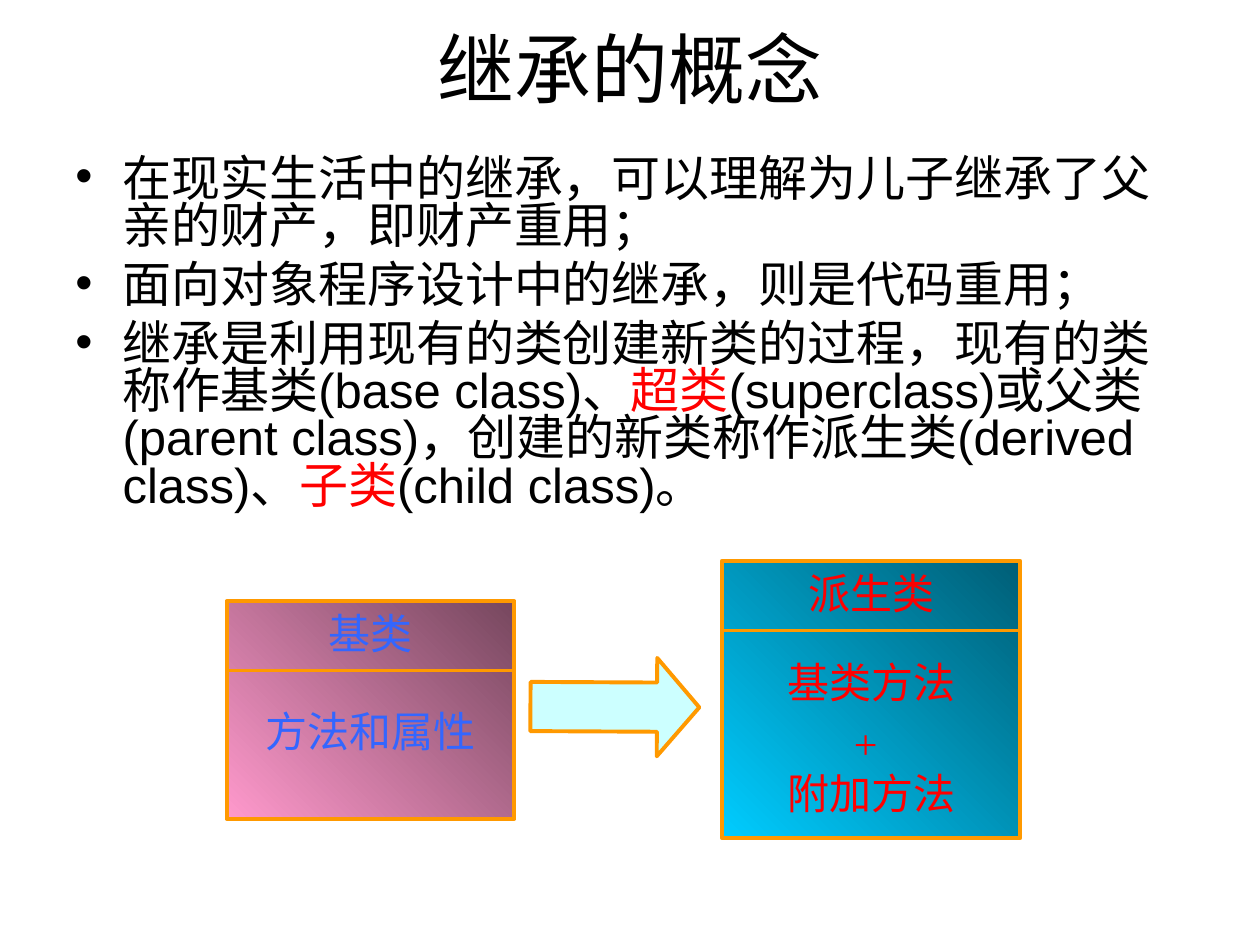
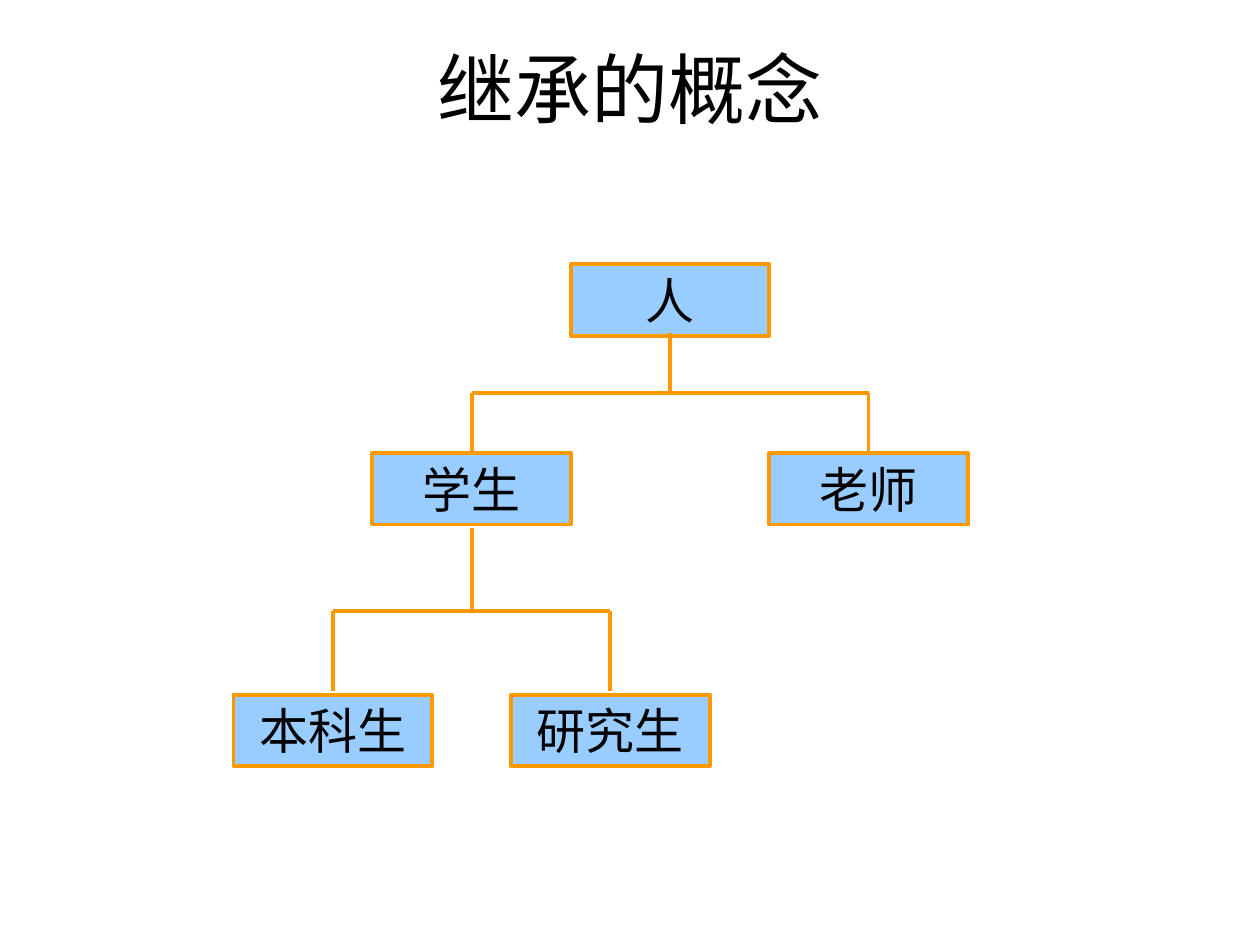
"""Builds two slides on the concept of class inheritance."""
from dataclasses import dataclass

from lxml.etree import SubElement
from pptx import Presentation
from pptx.dml.color import RGBColor as RGB
from pptx.enum.shapes import MSO_CONNECTOR as CONN, MSO_SHAPE as SHAPE
from pptx.enum.text import MSO_ANCHOR as ANCHOR, MSO_AUTO_SIZE as AUTO, PP_ALIGN as ALIGN
from pptx.oxml.ns import qn
from pptx.util import Pt


@dataclass(frozen=True)
class Theme:
    black: RGB = RGB(0, 0, 0)
    red: RGB = RGB.from_string("FF0000")
    blue: RGB = RGB.from_string("3366FF")
    orange: RGB = RGB.from_string("FF9900")
    node: RGB = RGB.from_string("99CCFF")
    arrow: RGB = RGB.from_string("CCFFFF")
    pink: tuple = (RGB.from_string("76475E"), RGB.from_string("FF99CC"))
    cyan: tuple = (RGB.from_string("005E76"), RGB.from_string("00CCFF"))
    sans: str = "Arial"
    serif: str = "Times New Roman"
    title: float = 44
    body: float = 28
    label: float = 24
    border: float = 2.25
    divider: float = 1.5


T = Theme()


def write(tf, lines, size, font, color, gap=0):
    tf.word_wrap = True
    tf.auto_size = AUTO.NONE
    tf.text = "\n".join(lines)
    for i, p in enumerate(tf.paragraphs):
        p.alignment = ALIGN.CENTER
        p.space_before = Pt(gap if i else 0)
        for r in p.runs:
            r.font.size, r.font.name = Pt(size), font
            r.font.color.rgb = color


def rule(s, x1, y1, x2, y2, width):
    ln = s.shapes.add_connector(CONN.STRAIGHT, Pt(x1), Pt(y1), Pt(x2), Pt(y2))
    ln.line.color.rgb = T.orange
    ln.line.width = Pt(width)
    SubElement(ln._element.spPr, qn("a:effectLst"))


prs = Presentation()
prs.slide_width, prs.slide_height = Pt(720), Pt(540)

slides = []
for top, height in ((-6.5, 90), (21.6, 57)):
    s = prs.slides.add_slide(prs.slide_layouts[5])
    title = s.shapes.title
    title.left, title.top, title.width, title.height = Pt(36), Pt(top), Pt(648), Pt(height)
    title.text_frame.vertical_anchor = ANCHOR.MIDDLE
    write(title.text_frame, ["继承的概念"], T.title, T.sans, T.black)
    slides.append(s)
concept, tree = slides

bullets = [
    [("在现实生活中的继承，可以理解为儿子继承了父亲的财产，即财产重用；", T.black)],
    [("面向对象程序设计中的继承，则是代码重用；", T.black)],
    [
        ("继承是利用现有的类创建新类的过程，现有的类称作基类(base class)、", T.black),
        ("超类", T.red),
        ("(superclass)或父类(parent class)，创建的新类称作派生类(derived class)、", T.black),
        ("子类", T.red),
        ("(child class)。", T.black),
    ],
]
tf = concept.shapes.add_textbox(Pt(36), Pt(87), Pt(648), Pt(302.5)).text_frame
tf.word_wrap = True
for i, parts in enumerate(bullets):
    p = tf.add_paragraph() if i else tf.paragraphs[0]
    p.line_spacing, p.space_before = 0.8, Pt(7)
    pPr = p._p.get_or_add_pPr()
    pPr.set("marL", str(Pt(27)))
    pPr.set("indent", str(Pt(-27)))
    SubElement(pPr, qn("a:buFont"), typeface=T.sans)
    SubElement(pPr, qn("a:buChar"), char="•")
    for text, color in parts:
        r = p.add_run()
        r.text = text
        r.font.size, r.font.name = Pt(T.body), T.sans
        r.font.color.rgb = color

classes = [
    (129.5, 343.5, 164.5, 124.5, T.pink, T.blue, "基类", ["方法和属性"], 56, T.sans),
    (412.5, 320.5, 170.5, 158.5, T.cyan, T.red, "派生类",
     ["基类方法", "+ \v附加方法"], 51, T.serif),
]
for x, y, w, h, shades, color, name, members, drop, font in classes:
    sp = concept.shapes.add_shape(SHAPE.RECTANGLE, Pt(x), Pt(y), Pt(w), Pt(h))
    sp.shadow.inherit = False
    sp.fill.gradient()
    sp.fill.gradient_angle = 225
    for stop, shade, position in zip(sp.fill.gradient_stops, shades, (0, 1)):
        stop.color.rgb, stop.position = shade, position
    sp.line.color.rgb, sp.line.width = T.orange, Pt(T.border)
    for top, lines, face in ((y, [name], T.serif), (y + drop, members, font)):
        box = concept.shapes.add_textbox(Pt(x), Pt(top), Pt(w), Pt(36 if len(lines) == 1 else 100))
        write(box.text_frame, lines, T.label, face, color, 6)
    rule(concept, x, y + 39.75, x + w, y + 39.75, T.divider)

sp = concept.shapes.add_shape(SHAPE.DOWN_ARROW, Pt(323.3), Pt(355.7), Pt(56.2), Pt(96.5))
sp.shadow.inherit = False
sp.rotation = 270.3
sp.adjustments[0], sp.adjustments[1] = 0.5, 0.43
sp.fill.solid()
sp.fill.fore_color.rgb = T.arrow
sp.line.color.rgb, sp.line.width = T.orange, Pt(T.border)

node_w, node_h = 113.5, 41
nodes = [("人", 383, 151), ("学生", 269.5, 258.8), ("老师", 496.3, 258.8),
         ("本科生", 190.2, 397), ("研究生", 348.8, 397)]
for name, center, top in nodes:
    sp = tree.shapes.add_shape(SHAPE.RECTANGLE, Pt(center - node_w / 2), Pt(top),
                               Pt(node_w), Pt(node_h))
    sp.shadow.inherit = False
    sp.fill.solid()
    sp.fill.fore_color.rgb = T.node
    sp.line.color.rgb, sp.line.width = T.orange, Pt(T.border)
    sp.text_frame.vertical_anchor = ANCHOR.TOP
    write(sp.text_frame, [name], T.body, T.serif, T.black)

branches = [(269.5, 496.3, 190.3, 224.6, 258.8), (190.2, 348.8, 301.7, 349.2, 394.7)]
for left, right, start, bus, end in branches:
    middle = (left + right) / 2
    rule(tree, left, bus, right, bus, T.border)
    rule(tree, middle, start, middle, bus, T.border)
    for x in (left, right):
        rule(tree, x, bus, x, end, T.border)

prs.save("out.pptx")
